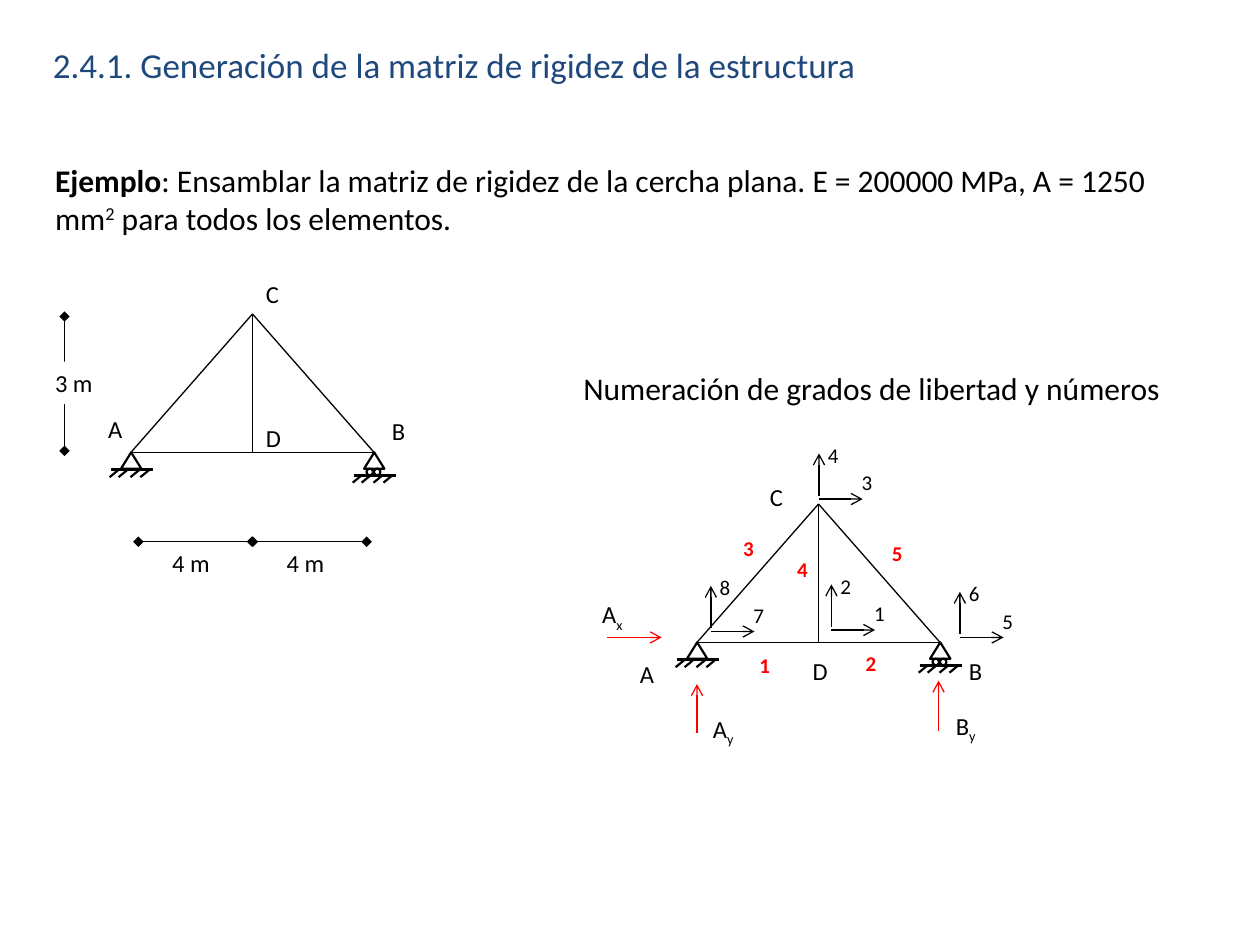
from pptx import Presentation
from pptx.dml.color import RGBColor
from pptx.enum.shapes import MSO_CONNECTOR, MSO_SHAPE
from pptx.enum.text import MSO_ANCHOR, MSO_AUTO_SIZE, PP_ALIGN
from pptx.oxml.xmlchemy import OxmlElement
from pptx.util import Cm, Pt

STRAIGHT = MSO_CONNECTOR.STRAIGHT
TRIANGLE = MSO_SHAPE.ISOSCELES_TRIANGLE
OVAL = MSO_SHAPE.OVAL
TOP = MSO_ANCHOR.TOP
LEFT = PP_ALIGN.LEFT
FIT_SHAPE = MSO_AUTO_SIZE.SHAPE_TO_FIT_TEXT
NO_FIT = MSO_AUTO_SIZE.NONE

BLACK = RGBColor(0x00, 0x00, 0x00)
WHITE = RGBColor(0xFF, 0xFF, 0xFF)
RED = RGBColor(0xFF, 0x00, 0x00)
NAVY = RGBColor(0x1F, 0x49, 0x7D)

FONT = "Calibri"
HALF_SPAN = 2.45
RISE = 2.79


def add_run(p, text, size, color=BLACK, bold=False, baseline=0):
    r = p.add_run()
    r.text = text
    r.font.name = FONT
    r.font.size = Pt(size)
    r.font.bold = bold
    r.font.color.rgb = color
    if baseline:
        r.font._element.set("baseline", str(baseline * 1000))


def add_title(s, text):
    sp = s.shapes.title
    sp.left, sp.top, sp.width, sp.height = Cm(0.81), Cm(0.74), Cm(22.23), Cm(1.4)
    tf = sp.text_frame
    tf.vertical_anchor = TOP
    tf.auto_size = NO_FIT
    p = tf.paragraphs[0]
    p.alignment = LEFT
    add_run(p, text, 20, NAVY)


def add_text(shapes, x, y, w, h, wrap=False):
    sp = shapes.add_textbox(Cm(x), Cm(y), Cm(w), Cm(h))
    tf = sp.text_frame
    tf.word_wrap = wrap
    tf.auto_size = FIT_SHAPE
    return sp, tf.paragraphs[0]


def add_label(shapes, text, x, y, w=0.81, subscript=""):
    sp, p = add_text(shapes, x, y, w, 0.86)
    add_run(p, text, 14)
    if subscript:
        add_run(p, subscript, 14, baseline=-25)
    return sp


def add_number(shapes, number, x, y, color=BLACK, bold=False):
    p = add_text(shapes, x, y, 0.69, 0.76, wrap=True)[1]
    add_run(p, str(number), 12, color, bold)


def add_line(shapes, x1, y1, x2, y2, width=0.75, color=BLACK, head=None, tail=None):
    line = shapes.add_connector(STRAIGHT, Cm(x1), Cm(y1), Cm(x2), Cm(y2))
    line.line.color.rgb = color
    line.line.width = Pt(width)
    spPr = line._element.spPr
    for tag, kind in (("a:headEnd", head), ("a:tailEnd", tail)):
        if kind:
            end = OxmlElement(tag)
            end.set("type", kind)
            spPr.get_or_add_ln().append(end)
    spPr.append(OxmlElement("a:effectLst"))


def add_outline(shapes, kind, x, y, w, h):
    sp = shapes.add_shape(kind, Cm(x), Cm(y), Cm(w), Cm(h))
    sp.shadow.inherit = False
    sp.fill.background()
    sp.line.color.rgb = BLACK
    sp.line.width = Pt(1.25)


def add_support(shapes, x, y, roller=False):
    add_outline(shapes, TRIANGLE, x - 0.2, y, 0.41, 0.33)
    ground = y + 0.35
    if roller:
        ground = y + 0.46
        for dx in (-0.15, 0):
            add_outline(shapes, OVAL, x + dx, y + 0.33, 0.13, 0.13)
    add_line(shapes, x - 0.41, ground, x + 0.44, ground, 1.5)
    for dx in (-0.26, -0.08, 0.16, 0.36):
        add_line(shapes, x + dx, ground + 0.01, x + dx - 0.17, ground + 0.15, 1.25)


def add_truss(shapes, x, y):
    middle, right, apex = x + HALF_SPAN, x + 2 * HALF_SPAN, y - RISE
    add_line(shapes, right, y, x, y)
    add_line(shapes, x, y, middle, apex)
    add_line(shapes, middle, apex, right, y)
    add_support(shapes, right, y, roller=True)
    add_support(shapes, x, y)
    add_line(shapes, middle, y, middle, apex)


def add_dimension(shapes, x1, y1, x2, y2):
    add_line(shapes, x1, y1, x2, y2, head="diamond", tail="diamond")


def add_freedoms(shapes, first, x, y):
    add_line(shapes, x, y, x + 0.88, y, tail="arrow")
    add_number(shapes, first, x + 0.61, y - 0.71)
    add_line(shapes, x, y - 0.07, x, y - 0.92, tail="arrow")
    add_number(shapes, first + 1, x - 0.07, y - 1.27)


def add_measured_truss(shapes):
    add_truss(shapes, 2.64, 9.12)
    for text, x, y in (("A", 1.93, 8.23), ("C", 5.11, 5.51),
                       ("B", 7.65, 8.26), ("D", 5.11, 8.41)):
        add_label(shapes, text, x, y)
    add_dimension(shapes, 1.3, 9.09, 1.3, 6.38)
    height = add_label(shapes, "3 m", 0.86, 7.29, 1.27)
    height.fill.solid()
    height.fill.fore_color.rgb = WHITE
    for i in range(2):
        x = 2.79 + 2.31 * i
        add_dimension(shapes, x, 10.92, x + 2.29, 10.92)
        add_label(shapes, "4 m", x + 0.43, 10.92, 1.27)


def add_numbered_truss(shapes):
    add_truss(shapes, 14.05, 12.95)
    for text, x, y in (("C", 15.27, 9.6), ("B", 19.28, 13.11),
                       ("D", 16.13, 13.11), ("A", 12.65, 13.16)):
        add_label(shapes, text, x, y)
    for text, axis, x, y in (("A", "y", 14.12, 14.27), ("B", "y", 19.02, 14.2),
                             ("A", "x", 11.89, 11.96)):
        add_label(shapes, text, x, y, 0.94, axis)
    for ends in ((14.05, 14.78, 14.05, 13.79), (18.92, 14.73, 18.92, 13.72),
                 (12.24, 12.85, 13.34, 12.85)):
        add_line(shapes, *ends, color=RED, tail="arrow")
    nodes = ((16.76, 12.7), (16.51, 10.06), (19.35, 12.85), (14.33, 12.73))
    for i, (x, y) in enumerate(nodes):
        add_freedoms(shapes, 2 * i + 1, x, y)
    members = ((15.06, 13.03), (17.2, 12.98), (14.73, 10.67), (15.82, 11.1), (17.73, 10.77))
    for number, (x, y) in enumerate(members, 1):
        add_number(shapes, number, x, y, RED, True)


def main():
    prs = Presentation()
    prs.slide_width, prs.slide_height = Cm(25.4), Cm(19.05)
    s = prs.slides.add_slide(prs.slide_layouts[5])
    add_title(s, "2.4.1. Generación de la matriz de rigidez de la estructura")
    p = add_text(s.shapes, 0.86, 3.12, 23.67, 1.8, wrap=True)[1]
    add_run(p, "Ejemplo", 18, bold=True)
    add_run(p, ": Ensamblar la matriz de rigidez de la cercha plana. "
               "E = 200000 MPa, A = 1250 mm", 18)
    add_run(p, "2", 18, baseline=30)
    add_run(p, " para todos los elementos.", 18)
    add_measured_truss(s.shapes)
    p = add_text(s.shapes, 11.51, 7.32, 12.29, 1.02)[1]
    add_run(p, "Numeración de grados de libertad y números", 18)
    add_numbered_truss(s.shapes.add_group_shape().shapes)
    prs.save("out.pptx")


if __name__ == "__main__":
    main()
